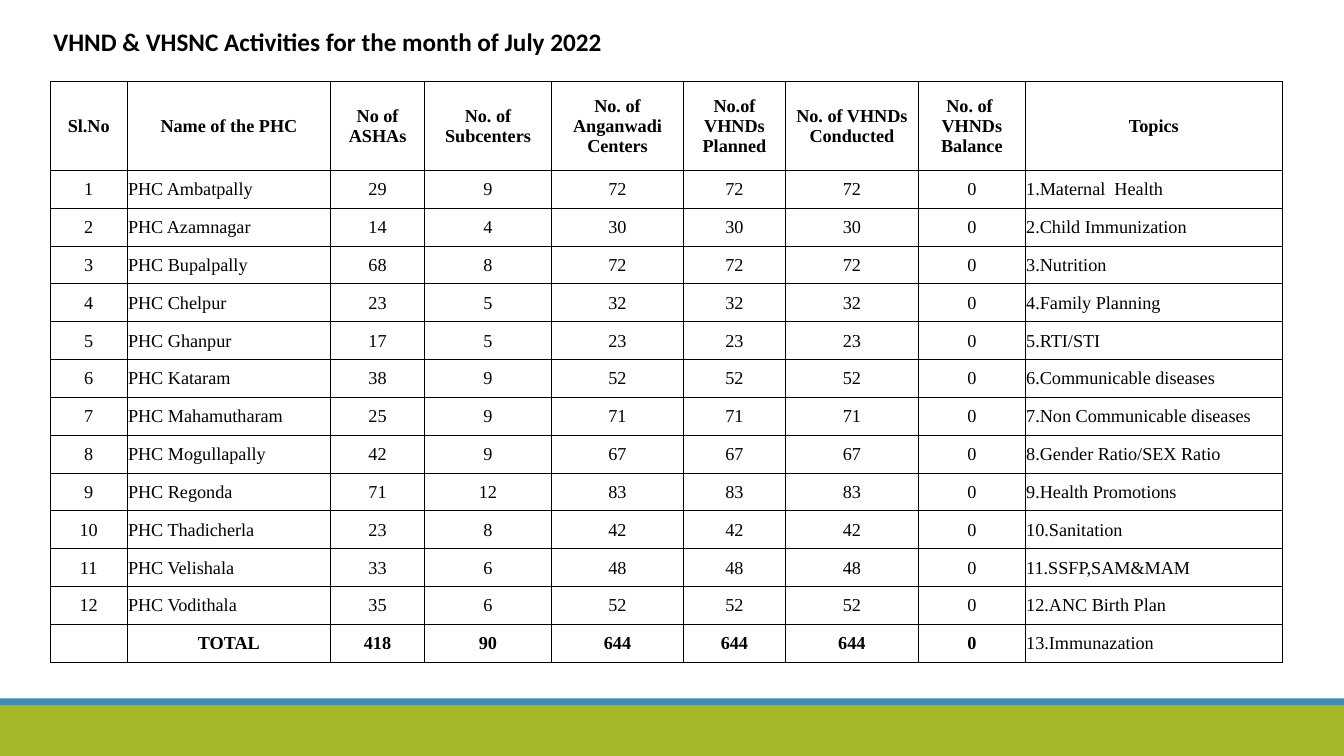
from lxml import etree
from pptx import Presentation
from pptx.dml.color import RGBColor
from pptx.enum.shapes import MSO_SHAPE
from pptx.enum.text import MSO_ANCHOR, PP_ALIGN
from pptx.oxml.ns import qn
from pptx.util import Inches, Pt

RECT = MSO_SHAPE.RECTANGLE
MIDDLE = MSO_ANCHOR.MIDDLE
LEFT, CENTER = PP_ALIGN.LEFT, PP_ALIGN.CENTER
BLACK = "000000"


def color(code):
    return RGBColor.from_string(code)


def border(cell):
    props = cell._tc.get_or_add_tcPr()
    for at, side in enumerate(("a:lnL", "a:lnR", "a:lnT", "a:lnB")):
        line = etree.Element(qn(side), w=str(Pt(0.5)))
        fill = etree.SubElement(line, qn("a:solidFill"))
        etree.SubElement(fill, qn("a:srgbClr"), val=BLACK)
        props.insert(at, line)


deck = Presentation()
deck.slide_width, deck.slide_height = Inches(13.33), Inches(7.5)
slide = deck.slides.add_slide(deck.slide_layouts[5])

# Footer bands
for top, height, code in ((7, 0.5, "A6B727"), (6.93, 0.07, "418AB3")):
    band = slide.shapes.add_shape(
        RECT, 0, Inches(top), deck.slide_width, Inches(height))
    band.shadow.inherit = False
    band.fill.solid()
    band.fill.fore_color.rgb = color(code)
    band.line.fill.background()

# Title
title = slide.shapes.title
title.left, title.top = Inches(0.43), Inches(0.21)
title.width, title.height = Inches(6.66), Inches(0.4)
frame = title.text_frame
frame.text = "VHND & VHSNC Activities for the month of July 2022"
frame.word_wrap = True
frame.vertical_anchor = MIDDLE
para = frame.paragraphs[0]
para.alignment = LEFT
para.font.name, para.font.size, para.font.bold = "Calibri", Pt(18), True
para.font.color.rgb = color(BLACK)

# Table data: centre, ASHAs, subcenters, Anganwadi centers, topic
heads = ["Sl.No", "Name of the PHC", "No of ASHAs", "No. of Subcenters",
         "No. of Anganwadi Centers", "No.of VHNDs Planned",
         "No. of VHNDs Conducted", "No. of  VHNDs Balance", "Topics"]
data = [
    ("Ambatpally", 29, 9, 72, "Maternal  Health"),
    ("Azamnagar", 14, 4, 30, "Child Immunization"),
    ("Bupalpally", 68, 8, 72, "Nutrition"),
    ("Chelpur", 23, 5, 32, "Family Planning"),
    ("Ghanpur", 17, 5, 23, "RTI/STI"),
    ("Kataram", 38, 9, 52, "Communicable diseases"),
    ("Mahamutharam", 25, 9, 71, "Non Communicable diseases"),
    ("Mogullapally", 42, 9, 67, "Gender Ratio/SEX Ratio"),
    ("Regonda", 71, 12, 83, "Health Promotions"),
    ("Thadicherla", 23, 8, 42, "Sanitation"),
    ("Velishala", 33, 6, 48, "SSFP,SAM&MAM"),
    ("Vodithala", 35, 6, 52, "ANC Birth Plan"),
]

# Every planned VHND was conducted, one per Anganwadi center
rows = [heads]
for num, (name, ashas, subs, centers, topic) in enumerate(data, 1):
    rows.append([num, f"PHC {name}", ashas, subs, centers, centers, centers,
                 0, f"{num}.{topic}"])
sums = [sum(row[col] for row in rows[1:]) for col in range(2, 8)]
rows.append(["", "TOTAL", *sums, "13.Immunazation"])

# Table
widths = [0.76, 2.02, 0.93, 1.26, 1.31, 1.01, 1.32, 1.06, 2.55]
last = len(rows) - 1
table = slide.shapes.add_table(
    len(rows), len(widths), Inches(0.5), Inches(0.81),
    Inches(12.21), Inches(5.76)).table
table.first_row = table.horz_banding = False
for col, width in enumerate(widths):
    table.columns[col].width = Inches(width)
for r, row in enumerate(rows):
    table.rows[r].height = Inches(0.88 if r == 0 else 4.88 / last)
    for c, value in enumerate(row):
        cell = table.cell(r, c)
        cell.fill.background()
        border(cell)
        cell.vertical_anchor = MIDDLE
        cell.margin_left = cell.margin_right = cell.margin_top = Inches(0.01)
        cell.margin_bottom = 0
        cell.text = str(value)
        para = cell.text_frame.paragraphs[0]
        names = c == 1 and 0 < r < last
        topics = c == 8 and r > 0
        para.alignment = LEFT if names or topics else CENTER
        font = para.font
        font.name, font.size = "Times New Roman", Pt(13)
        font.bold = r == 0 or (r == last and not topics)
        font.color.rgb = color(BLACK)

deck.save("out.pptx")
